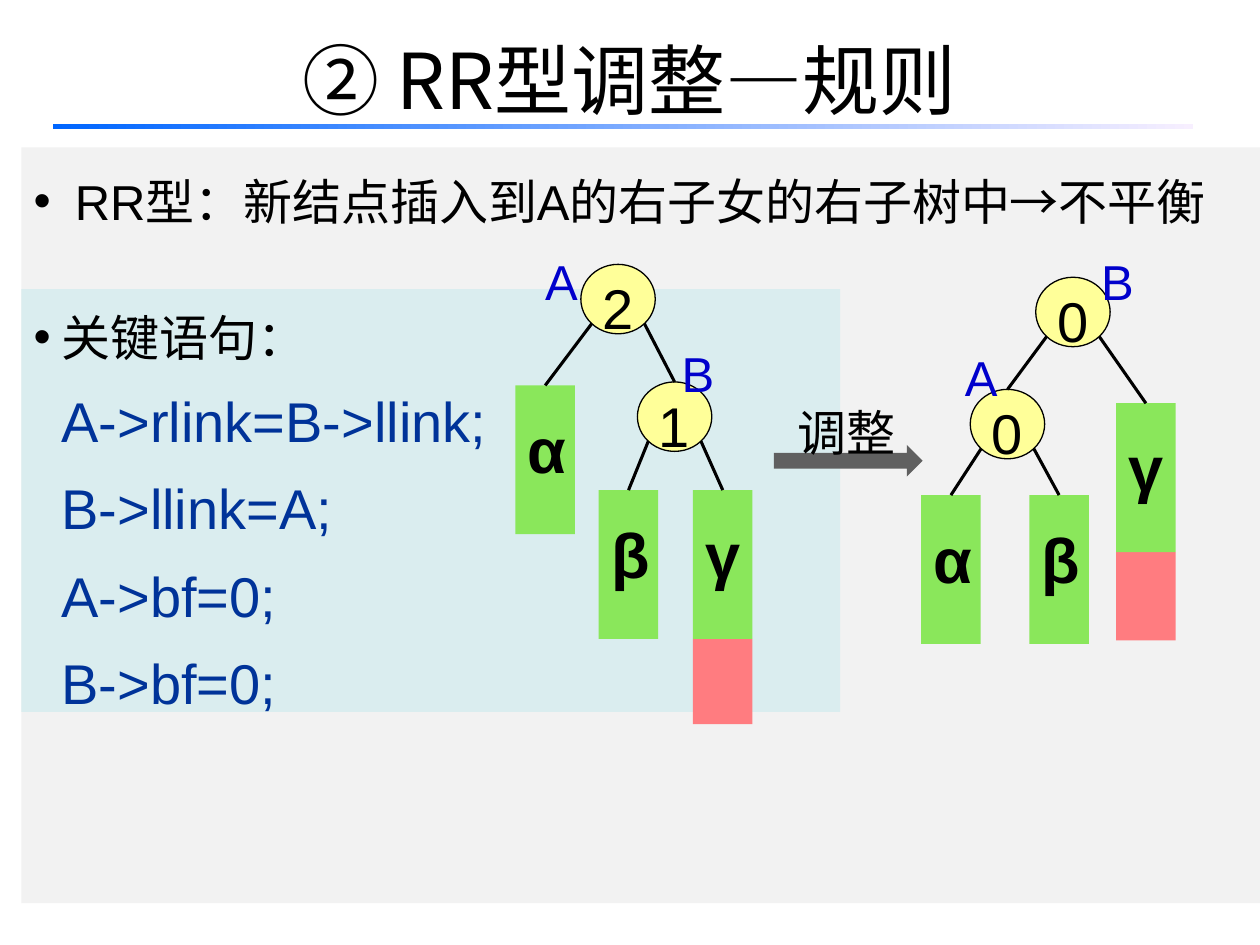
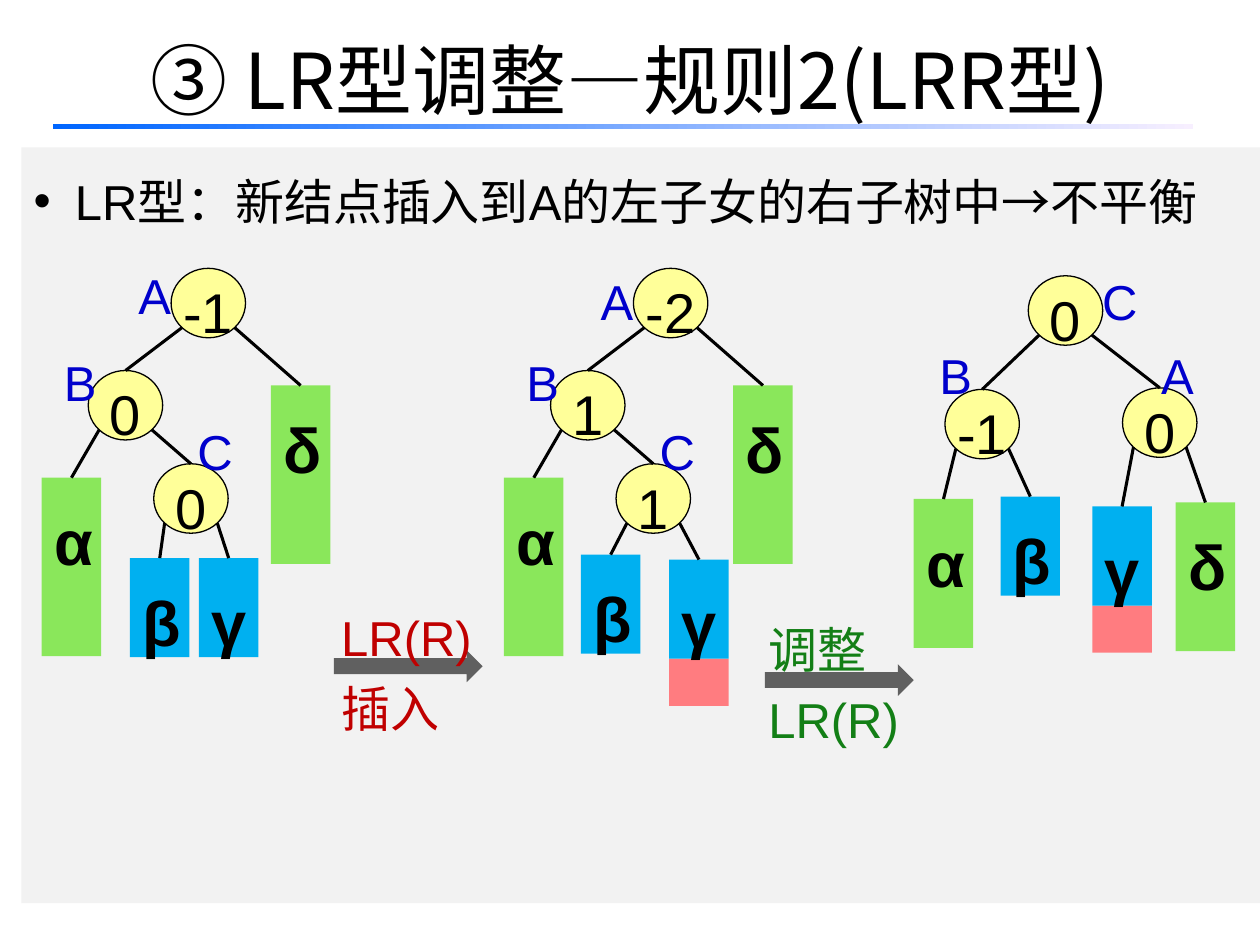
from math import sqrt

from lxml import etree
from pptx import Presentation
from pptx.dml.color import RGBColor
from pptx.enum.shapes import MSO_CONNECTOR, MSO_SHAPE
from pptx.enum.text import MSO_ANCHOR, MSO_AUTO_SIZE, PP_ALIGN
from pptx.oxml.ns import qn
from pptx.util import Cm, Pt

LATIN_FONT = "Arial"
CHINESE_FONT = "Noto Sans CJK SC"
BLACK = "000000"
PANEL = "F2F2F2"
CODE_PANEL = "DAEDEF"
CODE_TEXT = "003399"
NODE = "FFFF99"
NAME = "0000CC"
GREEN = "8AE75B"
BLUE = "00B0F0"
INSERTED = "FF7C80"
ARROW = "606060"
RULE_START, RULE_END = "0066FF", "F7EFFF"
NODE_WIDTH, NODE_HEIGHT = 1.5, 1.4
BLOCK_WIDTH = 1.2

CODE_HEADING = "关键语句："
CODE_LINES = ["A->rlink=B->llink;", "B->llink=A;", "A->bf=0;", "B->bf=0;"]


def lr_tree(left, values, name_top, beta, gamma, inserted=0):
    a_value, b_value, c_value = values
    return {
        "nodes": {
            "A": (a_value, left + 2.61, 5.41, left + 1.7, name_top),
            "B": (b_value, left + 0.94, 7.47, left + 0.2, 6.68),
            "C": (c_value, left + 2.26, 9.35, left + 2.89, 8.08),
        },
        "blocks": {
            "α": (left, 9.63, 3.6, GREEN),
            "β": (left + beta[0], beta[1], 2, BLUE),
            "γ": (left + gamma[0], gamma[1], 2, BLUE),
            "δ": (left + 4.62, 7.77, 3.6, GREEN),
        },
        "edges": ["AB", "Aδ", "Bα", "BC", "Cβ", "Cγ"],
        "inserted": inserted,
    }


RR_BEFORE = {
    "nodes": {"A": ("2", 11.71, 5.33, 10.74, 4.65), "B": ("1", 12.85, 7.7, 13.49, 6.5)},
    "blocks": {
        "α": (10.39, 7.77, 3, GREEN),
        "β": (12.07, 9.88, 3, GREEN),
        "γ": (13.97, 9.88, 3, GREEN),
    },
    "edges": ["Aα", "AB", "Bβ", "Bγ"],
    "inserted": 1.72,
}
RR_AFTER = {
    "nodes": {"B": ("0", 20.88, 5.59, 21.95, 4.65), "A": ("0", 19.56, 7.85, 19.2, 6.58)},
    "blocks": {
        "γ": (22.5, 8.13, 3, GREEN),
        "α": (18.57, 9.98, 3, GREEN),
        "β": (20.75, 9.98, 3, GREEN),
    },
    "edges": ["BA", "Bγ", "Aα", "Aβ"],
    "inserted": 1.78,
}
LR_AFTER = {
    "nodes": {
        "C": ("0", 20.73, 5.56, 21.97, 5.05),
        "B": ("-1", 19.05, 7.85, 18.69, 6.55),
        "A": ("0", 22.63, 7.82, 23.16, 6.55),
    },
    "blocks": {
        "α": (18.42, 10.06, 3, GREEN),
        "β": (20.17, 10.01, 2, BLUE),
        "γ": (22.02, 10.21, 2, BLUE),
        "δ": (23.7, 10.13, 3, GREEN),
    },
    "edges": ["CB", "CA", "Bα", "Bβ", "Aγ", "Aδ"],
    "inserted": 0.95,
}

SLIDES = [
    {
        "title": "② RR型调整—规则",
        "rule": "RR型：新结点插入到A的右子女的右子树中→不平衡",
        "code": True,
        "steps": [((15.6, 8.97), (15.82, 7.7, 2.5), ["调整"], BLACK, 1.25, 30)],
        "trees": [RR_BEFORE, RR_AFTER],
    },
    {
        "title": "③ LR型调整—规则2(LRR型)",
        "rule": "LR型：新结点插入到A的左子女的右子树中→不平衡",
        "code": False,
        "steps": [
            ((6.73, 13.11), (6.63, 11.89, 3.18), ["LR(R)", "插入"], "C00000", 1.2, 0),
            ((15.42, 13.39), (15.24, 12.12, 3.18), ["调整", "LR(R)"], "137F16", 1.2, 0),
        ],
        "trees": [
            lr_tree(0.84, ["-1", "0", "0"], 4.93, (1.78, 11.25), (3.17, 11.25)),
            lr_tree(10.16, ["-2", "1", "1"], 5.05, (1.55, 11.18), (3.33, 11.28), 0.95),
            LR_AFTER,
        ],
    },
]


def color(value):
    return RGBColor.from_string(value)


def format_paragraph(paragraph, size, ink, spacing=1.0, before=0, bold=False,
                     align=PP_ALIGN.LEFT, font=LATIN_FONT):
    paragraph.alignment = align
    paragraph.line_spacing = spacing
    paragraph.space_before = Pt(0)
    if before:
        space = paragraph._p.pPr.find(qn("a:spcBef"))
        space.remove(space[0])
        etree.SubElement(space, qn("a:spcPct"), val=str(before * 1000))
    for run in paragraph.runs:
        run.font.size = Pt(size)
        run.font.bold = bold
        run.font.name = font
        run.font.color.rgb = color(ink)
        latin = run._r.rPr.find(qn("a:latin"))
        latin.addnext(latin.makeelement(qn("a:ea"), {"typeface": CHINESE_FONT}))


def indent(paragraph, margin, bullet=False):
    properties = paragraph._p.get_or_add_pPr()
    properties.set("marL", str(Cm(margin)))
    properties.set("indent", str(-Cm(margin) if bullet else 0))
    if bullet:
        etree.SubElement(properties, qn("a:buFont"), typeface=LATIN_FONT)
        etree.SubElement(properties, qn("a:buChar"), char="•")


def add_filled(slide, kind, left, top, width, height, fill):
    shape = slide.shapes.add_shape(kind, Cm(left), Cm(top), Cm(width), Cm(height))
    shape.shadow.inherit = False
    shape.fill.solid()
    shape.fill.fore_color.rgb = color(fill)
    shape.line.fill.background()
    shape.text_frame.vertical_anchor = MSO_ANCHOR.TOP
    return shape


def add_title(slide, text):
    title = slide.shapes.title
    title.left, title.top, title.width, title.height = Cm(1.27), Cm(0), Cm(22.86), Cm(3.18)
    frame = title.text_frame
    frame.text = text
    frame.auto_size = MSO_AUTO_SIZE.NONE
    frame.vertical_anchor = MSO_ANCHOR.MIDDLE
    format_paragraph(frame.paragraphs[0], 44, BLACK, align=PP_ALIGN.CENTER, font=CHINESE_FONT)
    underline = add_filled(slide, MSO_SHAPE.RECTANGLE, 1.06, 2.51, 22.99, 0.1, RULE_START)
    underline.fill.gradient()
    underline.fill.gradient_angle = 0
    for stop, stop_color in zip(underline.fill.gradient_stops, (RULE_START, RULE_END)):
        stop.color.rgb = color(stop_color)


def add_rule_panel(slide, text):
    panel = add_filled(slide, MSO_SHAPE.RECTANGLE, 0.43, 2.97, 24.97, 15.24, PANEL)
    panel.text_frame.margin_right = 0
    panel.text_frame.text = text
    paragraph = panel.text_frame.paragraphs[0]
    format_paragraph(paragraph, 28, BLACK, 1.3, align=PP_ALIGN.JUSTIFY)
    indent(paragraph, 0.83, bullet=True)


def add_code_panel(slide):
    panel = add_filled(slide, MSO_SHAPE.RECTANGLE, 0.43, 5.83, 16.51, 8.52, CODE_PANEL)
    panel.text_frame.text = "\n".join([CODE_HEADING] + CODE_LINES)
    heading, *lines = panel.text_frame.paragraphs
    format_paragraph(heading, 28, BLACK, 1.2)
    indent(heading, 0.56, bullet=True)
    for line in lines:
        format_paragraph(line, 32, CODE_TEXT, 1.25)
        line.space_before = Pt(2)
        indent(line, 0.56)


def add_label(slide, left, top, width, lines, ink, spacing=1.25, before=30):
    box = slide.shapes.add_textbox(Cm(left), Cm(top), Cm(width), Cm(1.6 * len(lines)))
    box.text_frame.word_wrap = False
    box.text_frame.text = "\n".join(lines)
    for paragraph in box.text_frame.paragraphs:
        format_paragraph(paragraph, 28, ink, spacing, before)


def add_node(slide, value, left, top):
    node = add_filled(slide, MSO_SHAPE.OVAL, left, top, NODE_WIDTH, NODE_HEIGHT, NODE)
    node.line.color.rgb = color(BLACK)
    node.line.width = Pt(0.75)
    frame = node.text_frame
    frame.text = value
    frame.word_wrap = False
    frame.vertical_anchor = MSO_ANCHOR.MIDDLE
    format_paragraph(frame.paragraphs[0], 32, BLACK, 1.25, 30, align=PP_ALIGN.CENTER)
    return node


def add_block(slide, symbol, left, top, height, fill):
    block = add_filled(slide, MSO_SHAPE.RECTANGLE, left, top, BLOCK_WIDTH, height, fill)
    block.text_frame.text = symbol
    format_paragraph(block.text_frame.paragraphs[0], 36, BLACK, 1.25, 30, bold=True)
    return block


def add_edge(slide, parent, child):
    side = 1 if child.left + child.width / 2 > parent.left + parent.width / 2 else -1
    start_x = int(parent.left + parent.width / 2 * (1 + side / sqrt(2)))
    start_y = int(parent.top + parent.height / 2 * (1 + 1 / sqrt(2)))
    edge = slide.shapes.add_connector(MSO_CONNECTOR.STRAIGHT, start_x, start_y, start_x, start_y)
    edge.end_connect(child, 0)
    edge.line.color.rgb = color(BLACK)
    edge.line.width = Pt(1.75)
    etree.SubElement(edge._element.spPr, qn("a:effectLst"))


def add_tree(slide, tree):
    parts = {}
    if tree["inserted"]:
        left, top, height, _ = tree["blocks"]["γ"]
        add_filled(slide, MSO_SHAPE.RECTANGLE, left, top + height, BLOCK_WIDTH,
                   tree["inserted"], INSERTED)
    for symbol, block in tree["blocks"].items():
        parts[symbol] = add_block(slide, symbol, *block)
    for name, (value, left, top, _, _) in tree["nodes"].items():
        parts[name] = add_node(slide, value, left, top)
    for parent, child in tree["edges"]:
        add_edge(slide, parts[parent], parts[child])
    for name, (_, _, _, left, top) in tree["nodes"].items():
        add_label(slide, left, top, 1.2, [name], NAME)


def add_step(slide, arrow, caption, lines, ink, spacing, before):
    add_filled(slide, MSO_SHAPE.RIGHT_ARROW, *arrow, 3, 0.64, ARROW)
    add_label(slide, *caption, lines, ink, spacing, before)


def main():
    presentation = Presentation()
    presentation.slide_width, presentation.slide_height = Cm(25.4), Cm(19.05)
    for content in SLIDES:
        slide = presentation.slides.add_slide(presentation.slide_layouts[5])
        add_title(slide, content["title"])
        add_rule_panel(slide, content["rule"])
        if content["code"]:
            add_code_panel(slide)
        for step in content["steps"]:
            add_step(slide, *step)
        for tree in content["trees"]:
            add_tree(slide, tree)
    presentation.save("out.pptx")


if __name__ == "__main__":
    main()
